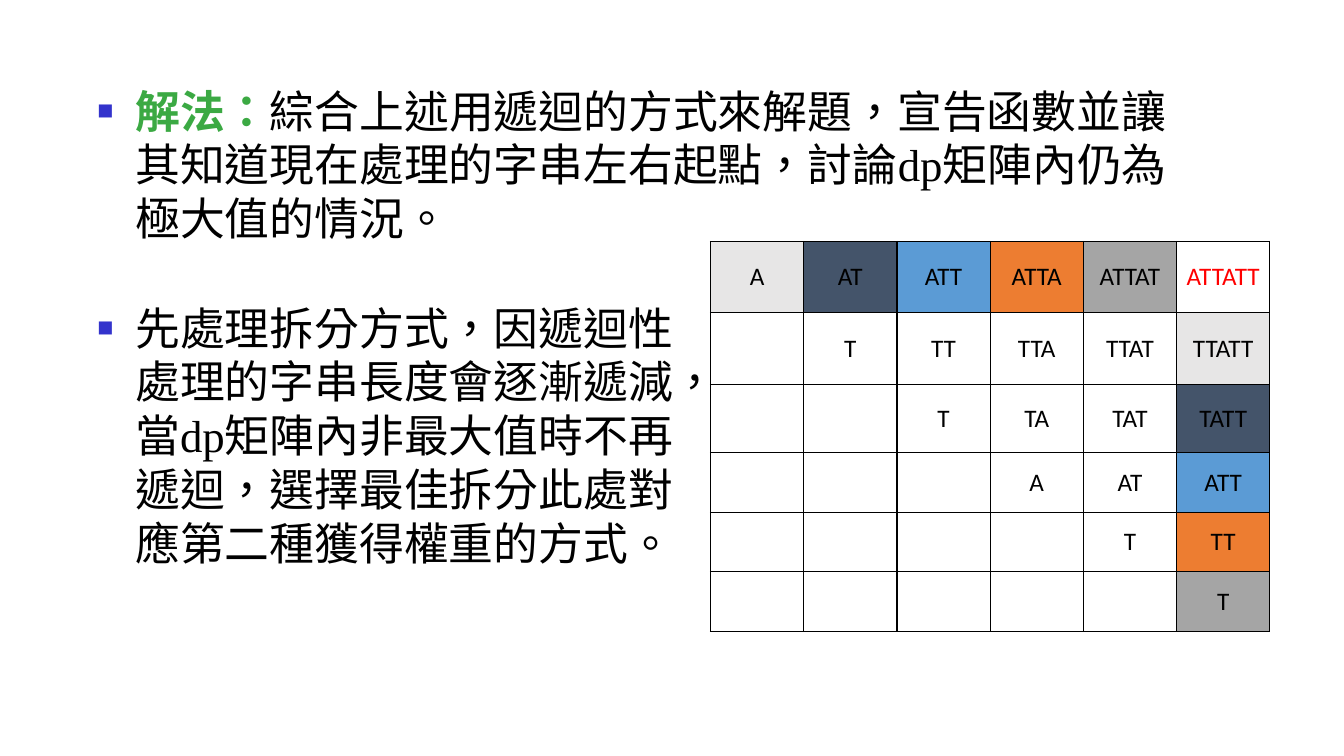
from lxml import etree
from pptx import Presentation
from pptx.dml.color import RGBColor
from pptx.enum.lang import MSO_LANGUAGE_ID
from pptx.enum.text import MSO_ANCHOR, MSO_AUTO_SIZE, PP_ALIGN
from pptx.oxml.ns import qn
from pptx.util import Pt

CENTER = PP_ALIGN.CENTER
MIDDLE = MSO_ANCHOR.MIDDLE
GROW = MSO_AUTO_SIZE.SHAPE_TO_FIT_TEXT
CHINESE = MSO_LANGUAGE_ID.TRADITIONAL_CHINESE
BLANK_LAYOUT = 6

BLACK, GREEN, RED, BULLET_BLUE = "000000", "3BA943", "FF0000", "3333CC"
SPLIT_FILLS = ["E7E6E6", "44546A", "5B9BD5", "ED7D31", "A5A5A5"]
WORD = "ATTATT"
ROW_HEIGHTS = [51, 51, 49, 42.5, 42.5, 42.5]


def color(code):
    """Turn a hex string into a colour."""
    return RGBColor.from_string(code)


class SlideWriter:
    """Holds the style and the current slide."""

    body_font, body_size = "Times New Roman", 32
    cell_font, cell_size = "Calibri", 18
    indent = 27

    def __init__(self, page):
        """Start writing on a page."""
        self.page = page

    def add_span(self, para, text, font, size, code, bold=False):
        """Add one formatted run to a paragraph."""
        span = para.add_run()
        span.text = text
        span.font.name = font
        span.font.size = Pt(size)
        span.font.bold = bold
        span.font.color.rgb = color(code)
        return span

    def add_bullet(self, para):
        """Give a paragraph a hanging square bullet."""
        props = para._p.get_or_add_pPr()
        props.set("marL", str(Pt(self.indent)))
        props.set("indent", str(-Pt(self.indent)))
        bullet_color = etree.SubElement(props, qn("a:buClr"))
        etree.SubElement(bullet_color, qn("a:srgbClr"), val=BULLET_BLUE)
        etree.SubElement(props, qn("a:buSzPct"), val="60000")
        etree.SubElement(props, qn("a:buFont"), typeface="Arial")
        etree.SubElement(props, qn("a:buChar"), char="■")

    def add_bullet_box(self, left, top, width, height, spans):
        """Add a text box with one bulleted paragraph."""
        box = self.page.shapes.add_textbox(Pt(left), Pt(top), Pt(width), Pt(height))
        frame = box.text_frame
        frame.word_wrap = True
        frame.auto_size = GROW
        para = frame.paragraphs[0]
        self.add_bullet(para)
        for text, code, bold in spans:
            span = self.add_span(para, text, self.body_font, self.body_size, code, bold)
            span.font.language_id = CHINESE

    def add_borders(self, cell):
        """Draw a thin black line on each side of a cell."""
        props = cell._tc.get_or_add_tcPr()
        for place, side in enumerate(("a:lnL", "a:lnR", "a:lnT", "a:lnB")):
            line = etree.Element(qn(side), w=str(Pt(1)))
            fill = etree.SubElement(line, qn("a:solidFill"))
            etree.SubElement(fill, qn("a:srgbClr"), val=BLACK)
            props.insert(place, line)

    def fill_cell(self, cell, row, column):
        """Write the substring from row to column and colour matching splits."""
        last = len(WORD) - 1
        cell.vertical_anchor = MIDDLE
        if row == 0 and column < last:
            split = column
        elif column == last and row > 0:
            split = row - 1
        else:
            split = None
        if split is None:
            cell.fill.background()
        else:
            cell.fill.solid()
            cell.fill.fore_color.rgb = color(SPLIT_FILLS[split])
        self.add_borders(cell)
        if row <= column:
            para = cell.text_frame.paragraphs[0]
            para.alignment = CENTER
            text = WORD[row:column + 1]
            code = RED if text == WORD else BLACK
            self.add_span(para, text, self.cell_font, self.cell_size, code)

    def add_substring_table(self, left, top, width):
        """Add the table of all substrings of the word."""
        count = len(WORD)
        table = self.page.shapes.add_table(
            count, count, Pt(left), Pt(top), Pt(width), Pt(sum(ROW_HEIGHTS))
        ).table
        table.first_row = False
        table.horz_banding = False
        for row, height in enumerate(ROW_HEIGHTS):
            table.rows[row].height = Pt(height)
            for column in range(count):
                self.fill_cell(table.cell(row, column), row, column)


def main():
    """Build the slide and save the deck."""
    deck = Presentation()
    deck.slide_width, deck.slide_height = Pt(960), Pt(540)
    writer = SlideWriter(deck.slides.add_slide(deck.slide_layouts[BLANK_LAYOUT]))
    writer.add_bullet_box(62.5, 56, 790, 124, [
        ("解法：", GREEN, True),
        ("綜合上述用遞迴的方式來解題，宣告函數並讓其知道現在處理的字串左右起點，"
         "討論dp矩陣內仍為極大值的情況。", BLACK, False),
    ])
    writer.add_bullet_box(62.5, 211, 454.5, 201, [
        ("先處理拆分方式，因遞迴性處理的字串長度會逐漸遞減，當dp矩陣內非最大值時不再遞迴，"
         "選擇最佳拆分此處對應第二種獲得權重的方式。", BLACK, False),
    ])
    writer.add_substring_table(507.5, 172.5, 399.6)
    deck.save("out.pptx")


if __name__ == "__main__":
    main()
